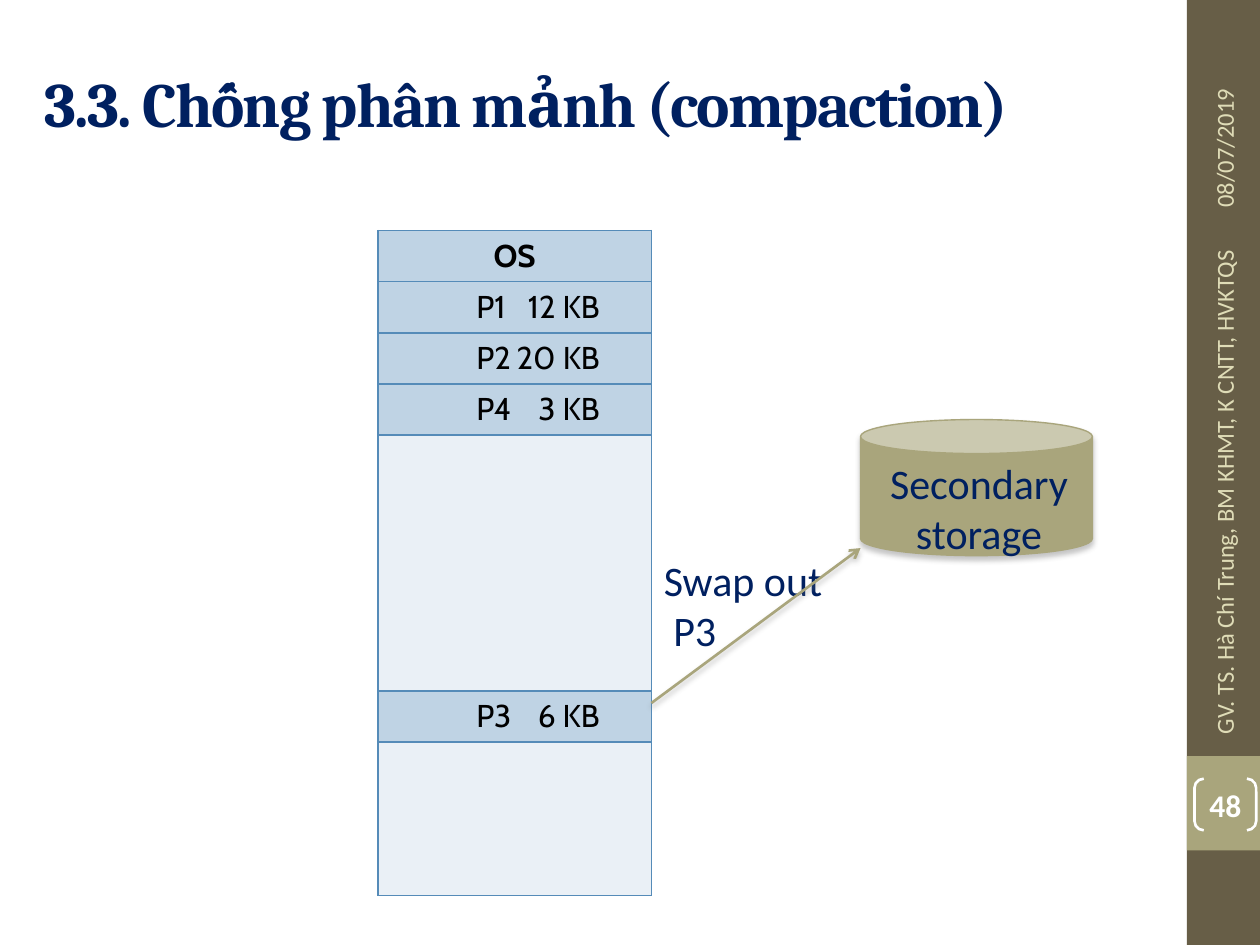
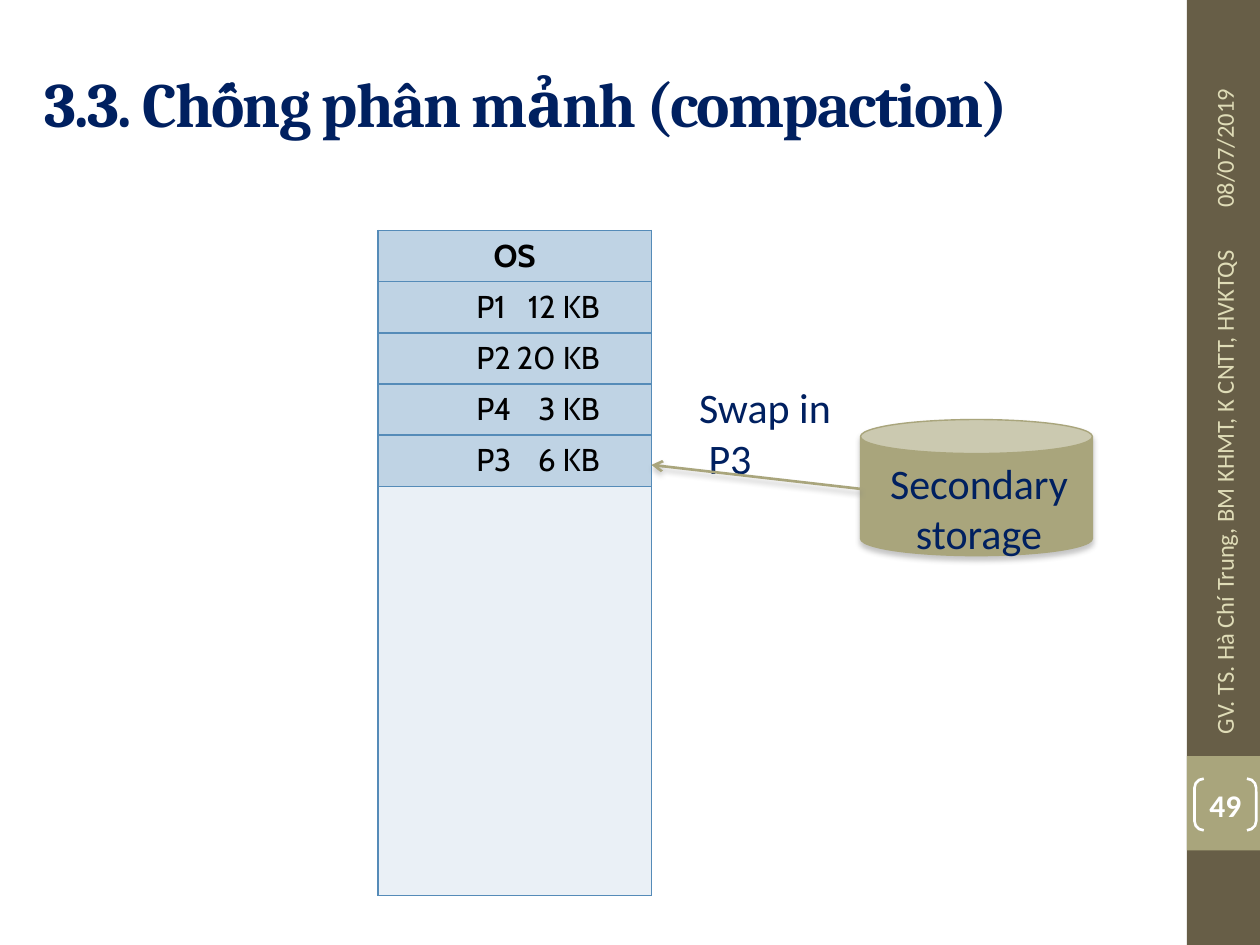
"""Two slides on memory compaction: swapping process P3 out to storage and back in."""
from lxml import etree
from pptx import Presentation
from pptx.dml.color import RGBColor
from pptx.enum import shapes, text
from pptx.oxml import parse_xml
from pptx.oxml.ns import nsdecls
from pptx.util import Inches, Pt

COLORS = {"band": "675E47", "accent": "A9A57C", "navy": "002060", "footer": "DFDCB7",
          "white": "FFFFFF", "black": "000000", "used": "BFD3E4", "free": "EAF0F6",
          "border": "558BB8"}
LEFT, CENTER = text.PP_ALIGN.LEFT, text.PP_ALIGN.CENTER
TOP, MIDDLE = text.MSO_ANCHOR.TOP, text.MSO_ANCHOR.MIDDLE
ROW_COUNT = 13
STORAGE_LEFT, TABLE_RIGHT = 6.83, 5.17

SLIDES = [
    {"number": "48", "rows": {0: "OS", 1: "P1\t12 KB", 2: "P2\t20 KB", 3: "P4\t3 KB", 9: "P3\t6 KB"},
     "label": ["Swap out", " P3"], "label_at": (5.17, 4.35),
     "arrow": (TABLE_RIGHT, 5.58, STORAGE_LEFT, 4.35)},
    {"number": "49", "rows": {0: "OS", 1: "P1\t12 KB", 2: "P2\t20 KB", 3: "P4\t3 KB", 4: "P3\t6 KB"},
     "label": ["Swap in", " P3"], "label_at": (5.45, 2.98),
     "arrow": (STORAGE_LEFT, 3.88, TABLE_RIGHT, 3.69)},
]


def write(frame, lines, size, color, font="Calibri", bold=False, align=LEFT, anchor=TOP):
    frame.word_wrap = True
    frame.vertical_anchor = anchor
    frame.text = "\n".join(lines)
    for para in frame.paragraphs:
        para.alignment = align
        para.font.size = Pt(size)
        para.font.name = font
        para.font.bold = bold
        para.font.color.rgb = RGBColor.from_string(COLORS[color])


def cast_shadow(shape):
    shape.element.xpath("./p:spPr")[0].append(parse_xml(
        f'<a:effectLst {nsdecls("a")}><a:outerShdw blurRad="{Pt(3)}" dist="{Pt(2.4)}" dir="5400000" '
        'rotWithShape="0"><a:srgbClr val="808080"><a:alpha val="45000"/></a:srgbClr>'
        '</a:outerShdw></a:effectLst>'))


deck = Presentation()
deck.slide_width, deck.slide_height = Inches(10), Inches(7.5)

for content in SLIDES:
    page = deck.slides.add_slide(deck.slide_layouts[5])

    for top, height, color in [(0, 7.5, "band"), (6, 0.75, "accent")]:
        band = page.shapes.add_shape(shapes.MSO_SHAPE.RECTANGLE, Inches(9.42), Inches(top),
                                     Inches(0.58), Inches(height))
        band.shadow.inherit = False
        band.fill.solid()
        band.fill.fore_color.rgb = RGBColor.from_string(COLORS[color])
        band.line.fill.background()

    title = page.shapes.title
    title.left, title.top, title.width, title.height = map(Inches, (0.25, 0.3, 8.92, 1.03))
    write(title.text_frame, ["3.3. Chống phân mảnh (compaction)"], 36, "navy", "Cambria", True,
          anchor=MIDDLE)
    title.element.xpath(".//a:defRPr")[0].set("spc", "-100")

    for left, top, width, words in [(8.84, 0.67, 1.75, "08/07/2019"),
                                    (7.63, 3.64, 4.17, "GV. TS. Hà Chí Trung, BM KHMT, K CNTT, HVKTQS")]:
        box = page.shapes.add_textbox(Inches(left), Inches(top), Inches(width), Inches(0.4))
        box.rotation = 270
        write(box.text_frame, [words], 14, "footer", anchor=MIDDLE)

    bracket = page.shapes.add_shape(shapes.MSO_SHAPE.DOUBLE_BRACKET, Inches(9.48), Inches(6.18),
                                    Inches(0.49), Inches(0.41))
    bracket.adjustments[0] = 0.18
    bracket.shadow.inherit = False
    bracket.fill.background()
    bracket.line.color.rgb = RGBColor.from_string(COLORS["white"])
    bracket.line.width = Pt(1.5)
    frame = bracket.text_frame
    frame.margin_left = frame.margin_right = frame.margin_top = frame.margin_bottom = 0
    write(frame, [content["number"]], 18, "white", bold=True, align=CENTER, anchor=MIDDLE)

    memory = page.shapes.add_table(ROW_COUNT, 1, Inches(3), Inches(1.83), Inches(2.17), Inches(5.28))
    memory.table.first_row = memory.table.horz_banding = False
    used = content["rows"]
    for index, row in enumerate(memory.table.rows):
        row.height = Inches(5.28 / ROW_COUNT)
        cell = row.cells[0]
        words = used.get(index, "")
        tabbed = "\t" in words
        write(cell.text_frame, [words], 18 if words else 12, "black", "Cabin", words == "OS",
              LEFT if tabbed else CENTER)
        cell.fill.solid()
        cell.fill.fore_color.rgb = RGBColor.from_string(COLORS["used" if words else "free"])
        if tabbed:
            cell.margin_left = Inches(0.78)
            properties = memory.element.xpath(".//a:tc")[index].xpath(".//a:pPr")[0]
            properties.insert(0, parse_xml(
                f'<a:tabLst {nsdecls("a")}><a:tab pos="{Inches(0.98)}" algn="r"/></a:tabLst>'))
        sides = {"lnL": True, "lnR": True,
                 "lnT": index in used or index - 1 in used,
                 "lnB": index in used or index + 1 in used or index == ROW_COUNT - 1}
        cell_properties = memory.element.xpath(".//a:tcPr")[index]
        for position, (side, visible) in enumerate(sides.items()):
            paint = (f'<a:solidFill><a:srgbClr val="{COLORS["border"]}"/></a:solidFill>'
                     if visible else "<a:noFill/>")
            cell_properties.insert(position, parse_xml(
                f'<a:{side} {nsdecls("a")} w="{Pt(1)}">{paint}</a:{side}>'))

    storage = page.shapes.add_shape(shapes.MSO_SHAPE.CAN, Inches(STORAGE_LEFT), Inches(3.33),
                                    Inches(1.84), Inches(1.08))
    storage.adjustments[0] = 0.25
    storage.fill.solid()
    storage.fill.fore_color.rgb = RGBColor.from_string(COLORS["accent"])
    storage.line.color.rgb = RGBColor.from_string(COLORS["accent"])
    storage.line.width = Pt(0.79)
    cast_shadow(storage)

    for (left, top), width, lines, align in [
            (content["label_at"], 1.67, content["label"], LEFT),
            ((6.92, 3.58), 1.7, ["Secondary", "storage"], CENTER)]:
        box = page.shapes.add_textbox(Inches(left), Inches(top), Inches(width), Inches(0.91))
        write(box.text_frame, lines, 24, "navy", align=align)

    arrow = page.shapes.add_connector(shapes.MSO_CONNECTOR.STRAIGHT, *map(Inches, content["arrow"]))
    arrow.line.color.rgb = RGBColor.from_string(COLORS["accent"])
    arrow.line.width = Pt(1.5)
    line = arrow.element.xpath(".//a:ln")[0]
    etree.SubElement(line, line.tag.replace("}ln", "}tailEnd"), type="arrow")
    cast_shadow(arrow)

deck.save("out.pptx")
